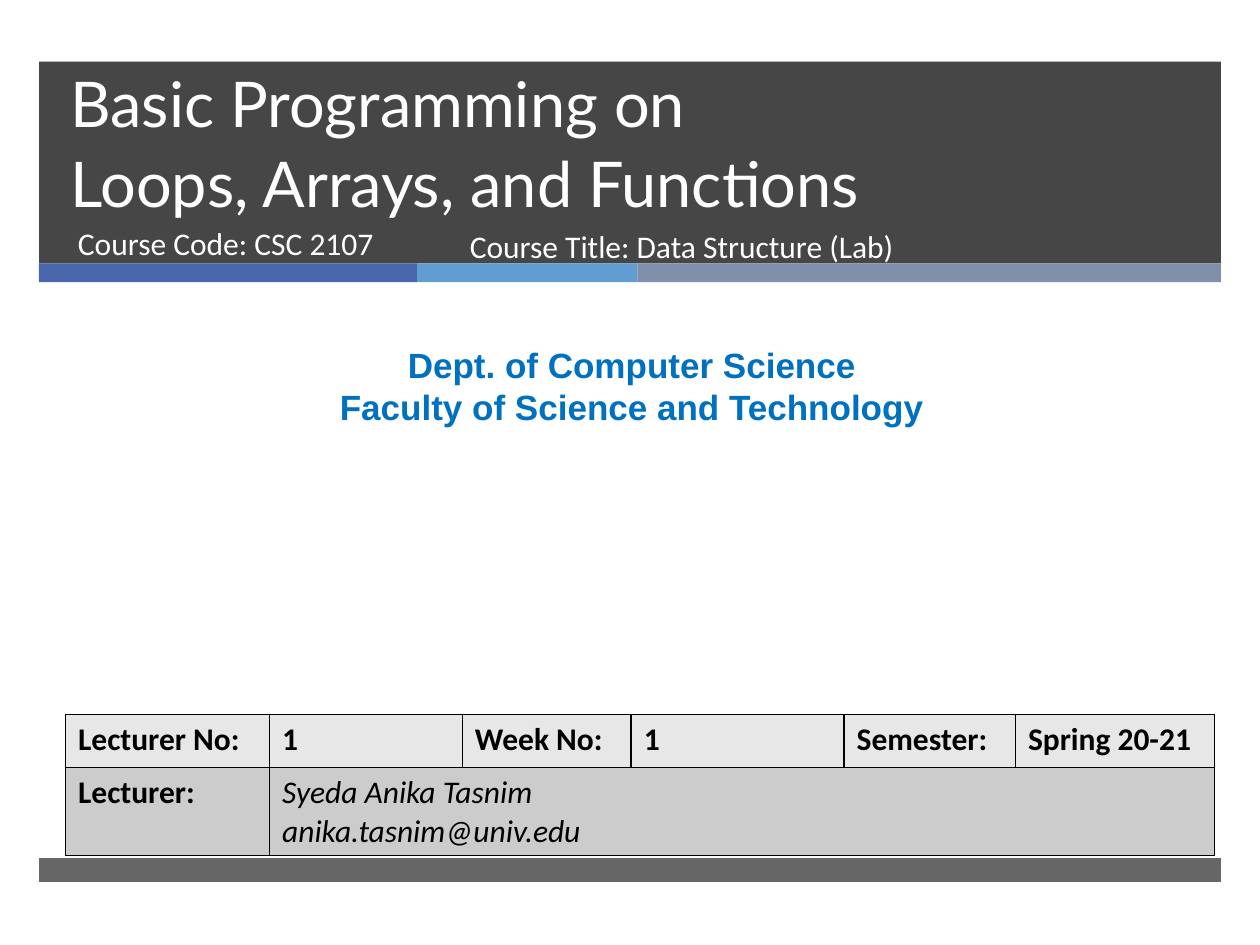
from pptx import Presentation
from pptx.dml.color import RGBColor
from pptx.enum.shapes import MSO_SHAPE
from pptx.enum.text import MSO_ANCHOR, PP_ALIGN
from pptx.oxml import parse_xml
from pptx.oxml.ns import nsdecls
from pptx.util import Inches, Pt

WHITE = RGBColor(0xFF, 0xFF, 0xFF)
BLACK = RGBColor(0, 0, 0)
DARK = RGBColor(0x26, 0x26, 0x26)
NAVY = RGBColor(0x4A, 0x66, 0xAC)
SKY = RGBColor(0x62, 0x9D, 0xD1)
SLATE = RGBColor(0x7F, 0x8F, 0xA9)
BLUE = RGBColor(0x00, 0x70, 0xC0)
LIGHT = RGBColor(0xE7, 0xE7, 0xE7)
GREY = RGBColor(0xCC, 0xCC, 0xCC)

deck = Presentation()
deck.slide_width, deck.slide_height = Inches(10), Inches(7.5)
slide = deck.slides.add_slide(deck.slide_layouts[6])


def write(frame, lines, size, font, color, bold=False, italic=False, align=None):
    """Each line is a paragraph; a newline inside it is a line break."""
    frame.word_wrap = True
    for i, line in enumerate(lines):
        para = frame.paragraphs[0] if i == 0 else frame.add_paragraph()
        para.alignment = align
        for j, part in enumerate(line.split("\n")):
            if j:
                para.add_line_break()
            run = para.add_run()
            run.text = part
            run.font.size = Pt(size)
            run.font.name = font
            run.font.color.rgb = color
            run.font.bold, run.font.italic = bold, italic


def add_text(box, *args, **style):
    frame = slide.shapes.add_textbox(*map(Inches, box)).text_frame
    write(frame, *args, **style)
    return frame


# Bands: left, top, width, height, colour, opacity in percent
bands = [
    (0.31, 0.49, 9.38, 1.6, DARK, 85),
    (0.31, 2.09, 3, 0.15, NAVY, 100),
    (3.31, 2.09, 1.75, 0.15, SKY, 100),
    (5.06, 2.09, 4.63, 0.15, SLATE, 100),
    (0.31, 6.81, 9.38, 0.19, DARK, 70),
]
for *box, color, alpha in bands:
    band = slide.shapes.add_shape(MSO_SHAPE.RECTANGLE, *map(Inches, box))
    band.shadow.inherit = False
    band.line.fill.background()
    band.fill.solid()
    band.fill.fore_color.rgb = color
    if alpha < 100:
        tint = band.fill._xPr.solidFill[0]
        tint.append(parse_xml(f'<a:alpha {nsdecls("a")} val="{alpha * 1000}"/>'))

# Title and course details
title = add_text((0.46, 0.61, 8.54, 1.19),
                 ["Basic Programming on\nLoops, Arrays, and Functions"], 36, "Lato", WHITE)
title.vertical_anchor = MSO_ANCHOR.BOTTOM
title.paragraphs[0].line_spacing = Pt(46)
add_text((0.52, 1.73, 3.05, 0.53), ["Course Code: CSC 2107"], 18, "Calibri", WHITE)
add_text((3.63, 1.75, 4.55, 0.53), ["Course Title: Data Structure (Lab)"],
         18, "Calibri", WHITE)

# Department
add_text((0.08, 2.68, 9.87, 0.77),
         ["Dept. of Computer Science", "Faculty of Science and Technology"],
         20, "Arial", BLUE, bold=True, align=PP_ALIGN.CENTER)

# Lecture table
widths = [1.62, 1.53, 1.34, 1.69, 1.36, 1.58]
heights = [0.42, 0.69]
rows = [
    [["Lecturer No:"], ["1"], ["Week No:"], ["1"], ["Semester:"], ["Spring 20-21"]],
    [["Lecturer:"], ["Syeda Anika Tasnim", "anika.tasnim@univ.edu"]],
]
table = slide.shapes.add_table(2, 6, Inches(0.52), Inches(5.67),
                               Inches(sum(widths)), Inches(sum(heights))).table
for col, width in zip(table.columns, widths):
    col.width = Inches(width)
for row, height in zip(table.rows, heights):
    row.height = Inches(height)
table.cell(1, 1).merge(table.cell(1, 5))

for r, fill in enumerate([LIGHT, GREY]):
    for c in range(len(widths)):
        cell = table.cell(r, c)
        if c < len(rows[r]):
            name = (r, c) == (1, 1)
            write(cell.text_frame, rows[r][c], 18, "Calibri", BLACK,
                  bold=not name, italic=name)
        props = cell._tc.get_or_add_tcPr()
        for side in ("lnL", "lnR", "lnT", "lnB"):
            props.append(parse_xml(
                f'<a:{side} {nsdecls("a")} w="12700"><a:solidFill>'
                f'<a:srgbClr val="{BLACK}"/></a:solidFill></a:{side}>'))
        cell.fill.solid()
        cell.fill.fore_color.rgb = fill

deck.save("out.pptx")
